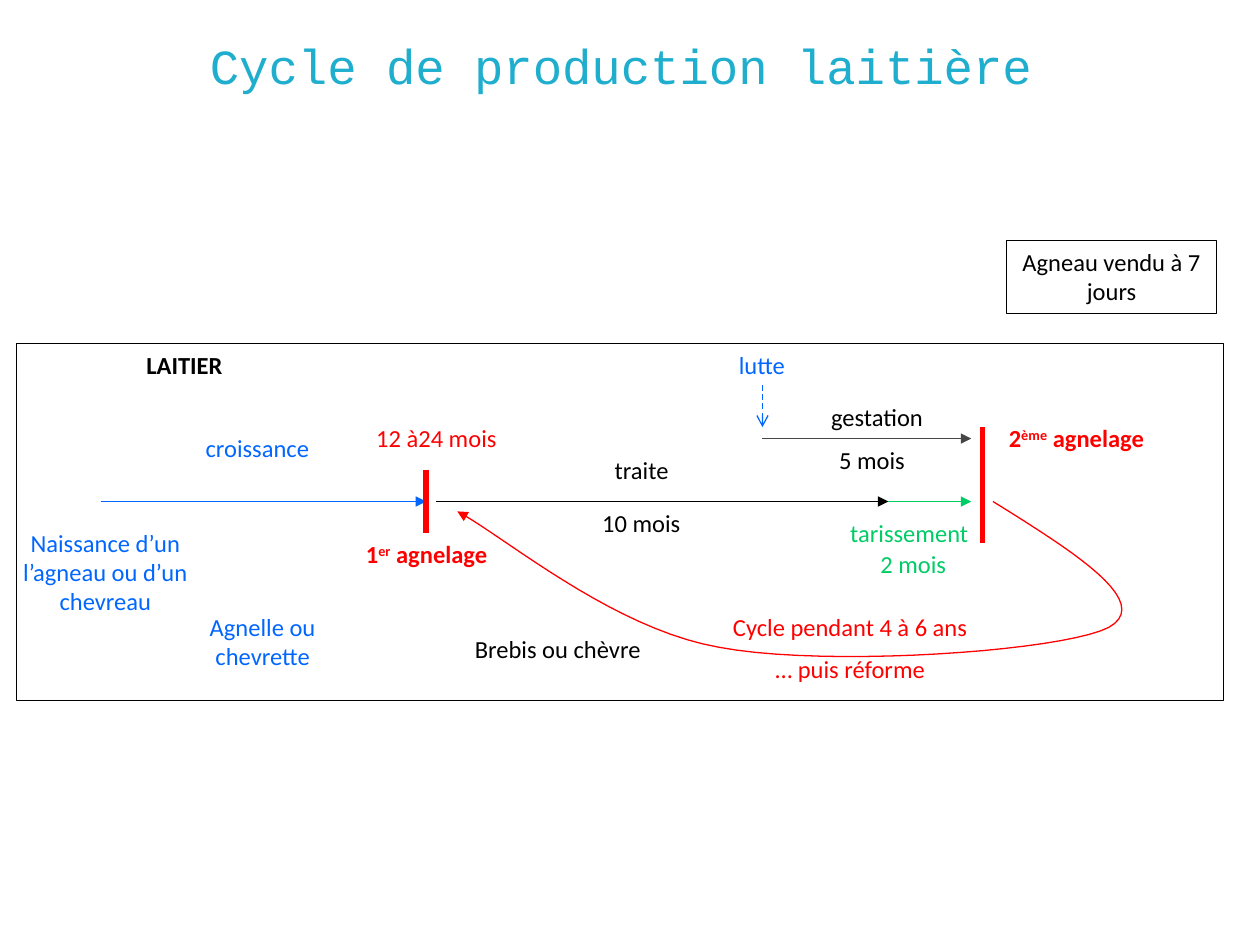
from lxml import etree
from pptx import Presentation
from pptx import util as u
from pptx.dml.color import RGBColor
from pptx.enum import dml, shapes, text
from pptx.oxml import ns

BLACK, GREY, BLUE, RED, GREEN = "000000", "464646", "0066FF", "FF0000", "00CC66"

LABELS = [
    ("LAITIER", 0, 0, 6.78, BLACK, True),
    ("lutte", 13.34, 0, 3.38, BLUE, False),
    ("gestation", 14.81, 1.04, 5.08, BLACK, False),
    ("5 mois", 16.08, 1.91, 2.34, BLACK, False),
    ("croissance", 2.74, 1.68, 4.24, BLUE, False),
    ("12 à24 mois", 6.78, 1.47, 3.38, RED, False),
    ("traite", 10.8, 2.11, 3.61, BLACK, False),
    ("10 mois", 11.43, 3.18, 2.34, BLACK, False),
    ("tarissement", 15.88, 3.38, 4.24, GREEN, False),
    ("2 mois", 16.71, 4.01, 2.74, GREEN, False),
    ("1^er^ agnelage", 6.15, 3.81, 4.24, RED, True),
    ("2^ème^ agnelage", 19.25, 1.47, 4.24, RED, True),
    ("Naissance d’un l’agneau ou d’un chevreau", -0.43, 3.58, 4.45, BLUE, False),
    ("Agnelle ou chevrette", 2.74, 5.28, 4.45, BLUE, False),
    ("Brebis ou chèvre", 8.69, 5.72, 4.45, BLACK, False),
    ("Cycle pendant 4 à 6 ans\n… puis réforme", 14.17, 5.28, 5.28, RED, False),
]

ARROWS = [
    (1.7, 3.18, 8.26, 3.18, BLUE, 0.75, "triangle"),
    (8.46, 3.18, 17.58, 3.18, BLACK, 0.75, "triangle"),
    (17.58, 3.18, 19.25, 3.18, GREEN, 0.75, "triangle"),
    (15.04, 1.91, 19.25, 1.91, GREY, 0.75, "triangle"),
    (15.04, 0.84, 15.04, 1.68, BLUE, 0.75, "arrow"),
    (8.26, 2.54, 8.26, 3.81, RED, 3, None),
    (19.48, 1.68, 19.48, 4.01, RED, 3, None),
]

RETURN_CURVE = [
    (19.69, 3.18), (21.31, 4.19), (22.94, 5.21), (22.02, 5.72),
    (21.08, 6.2), (16.36, 6.53), (14.17, 6.12),
    (11.99, 5.74), (9.78, 3.84), (8.89, 3.38),
]


def color(value):
    return RGBColor.from_string(value)


def style_line(s, value, width, head=None):
    s.line.color.rgb = color(value)
    s.line.width = u.Pt(width)
    if head == "arrow":
        s.line.dash_style = dml.MSO_LINE.DASH
    if head:
        ln = s.line._get_or_add_ln()
        etree.SubElement(ln, ns.qn("a:tailEnd"), type=head)


def write(sp, content, value, size=14, font="Calibri", bold=False):
    tf = sp.text_frame
    tf.word_wrap = True
    for i, line in enumerate(content.split("\n")):
        p = tf.paragraphs[0] if i == 0 else tf.add_paragraph()
        p.alignment = text.PP_ALIGN.CENTER
        if i:
            p.space_before = u.Pt(7)
        for j, part in enumerate(line.split("^")):
            r = p.add_run()
            r.text = part
            r.font.name, r.font.size, r.font.bold = font, u.Pt(size), bold
            r.font.color.rgb = color(value)
            if j == 1:
                r.font._element.set("baseline", "30000")


def add_label(s, left, top, width, height, content, value, **kw):
    sp = s.shapes.add_textbox(u.Cm(left), u.Cm(top), u.Cm(width), u.Cm(height))
    write(sp, content, value, **kw)
    return sp


def add_frame(s, left, top, width, height):
    sp = s.shapes.add_shape(shapes.MSO_SHAPE.RECTANGLE,
                            u.Cm(left), u.Cm(top), u.Cm(width), u.Cm(height))
    sp.shadow.inherit = False
    sp.fill.background()
    style_line(sp, BLACK, 0.75)
    return sp


def add_arrow(s, x1, y1, x2, y2, value, width, head):
    c = s.shapes.add_connector(shapes.MSO_CONNECTOR.STRAIGHT,
                               u.Cm(x1), u.Cm(y1), u.Cm(x2), u.Cm(y2))
    style_line(c, value, width, head)
    etree.SubElement(c._element.spPr, ns.qn("a:effectLst"))


def bezier(points, steps=20):
    for k in range(0, len(points) - 1, 3):
        for i in range(1, steps + 1):
            t = i / steps
            weights = ((1 - t) ** 3, 3 * t * (1 - t) ** 2, 3 * t * t * (1 - t), t ** 3)
            yield tuple(sum(w * pt[axis] for w, pt in zip(weights, points[k:k + 4]))
                        for axis in (0, 1))


def add_curve(s, left, top, points):
    placed = [(u.Cm(left + x), u.Cm(top + y)) for x, y in points]
    builder = s.shapes.build_freeform(*placed[0])
    builder.add_line_segments(list(bezier(placed)), close=False)
    sp = builder.convert_to_shape()
    sp.shadow.inherit = False
    sp.fill.background()
    style_line(sp, RED, 0.75, "triangle")


def add_title(s, left, top, width, height):
    sp = add_label(s, left, top, width, height, "Cycle de production laitière",
                   "1FAECD", size=28, font="Courier New")
    sp.text_frame.vertical_anchor = text.MSO_ANCHOR.MIDDLE


def add_sale_note(s, left, top, width, height):
    sp = add_frame(s, left, top, width, height)
    sp.text_frame.vertical_anchor = text.MSO_ANCHOR.TOP
    write(sp, "Agneau vendu à 7 jours", BLACK)


def add_cycle(s, left, top, width, height):
    add_frame(s, left, top, width, height)
    for x1, y1, x2, y2, *look in ARROWS:
        add_arrow(s, left + x1, top + y1, left + x2, top + y2, *look)
    add_curve(s, left, top, RETURN_CURVE)
    for content, x, y, w, value, bold in LABELS:
        add_label(s, left + x, top + y, w, 0.85, content, value, bold=bold)


def main():
    prs = Presentation()
    prs.slide_width, prs.slide_height = u.Cm(25.4), u.Cm(19.05)
    s = prs.slides.add_slide(prs.slide_layouts[6])
    add_title(s, 1.09, 0.33, 22.86, 1.96)
    add_cycle(s, 0.33, 6.93, 24.33, 7.19)
    add_sale_note(s, 20.29, 4.85, 4.24, 1.47)
    prs.save("out.pptx")


if __name__ == "__main__":
    main()
